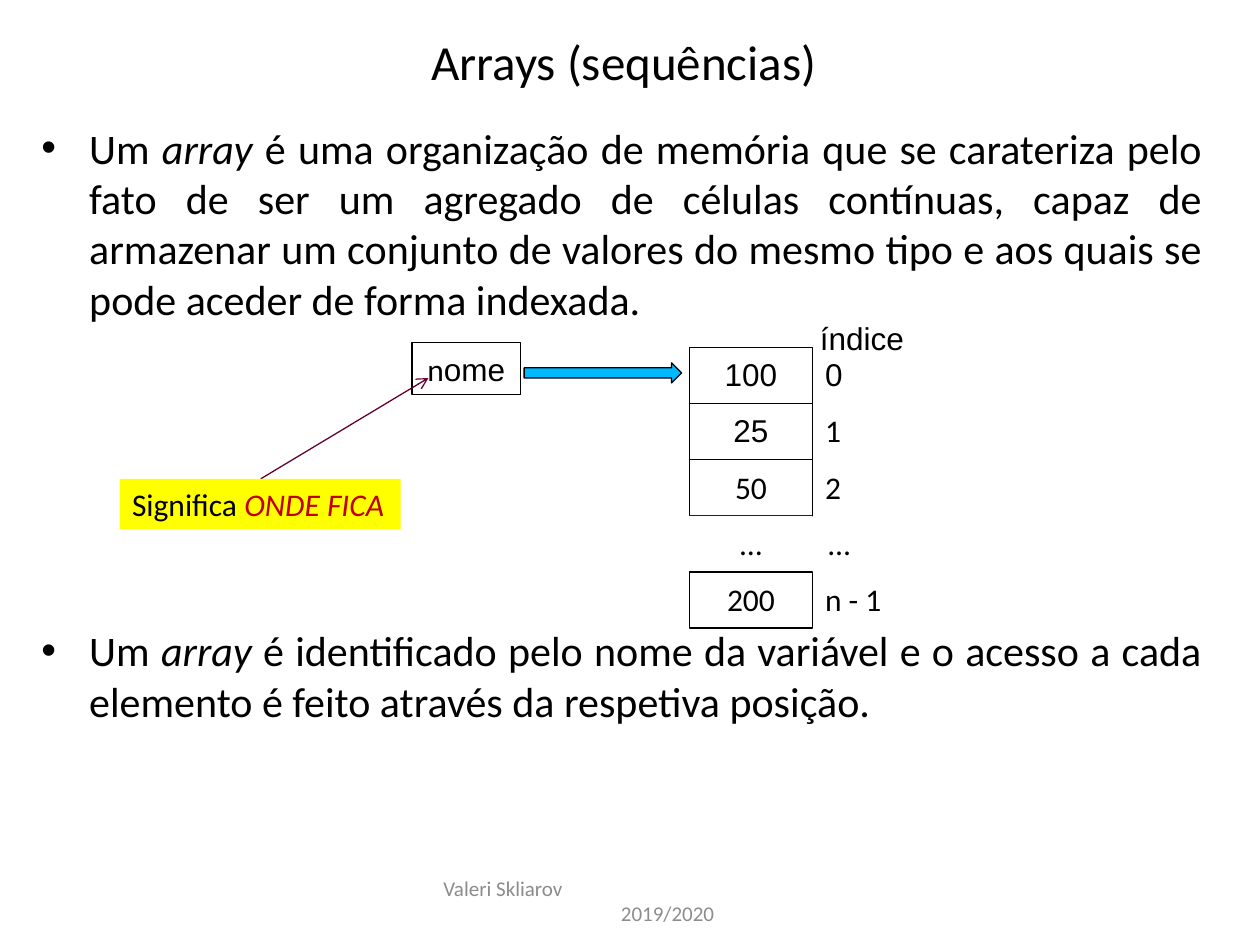
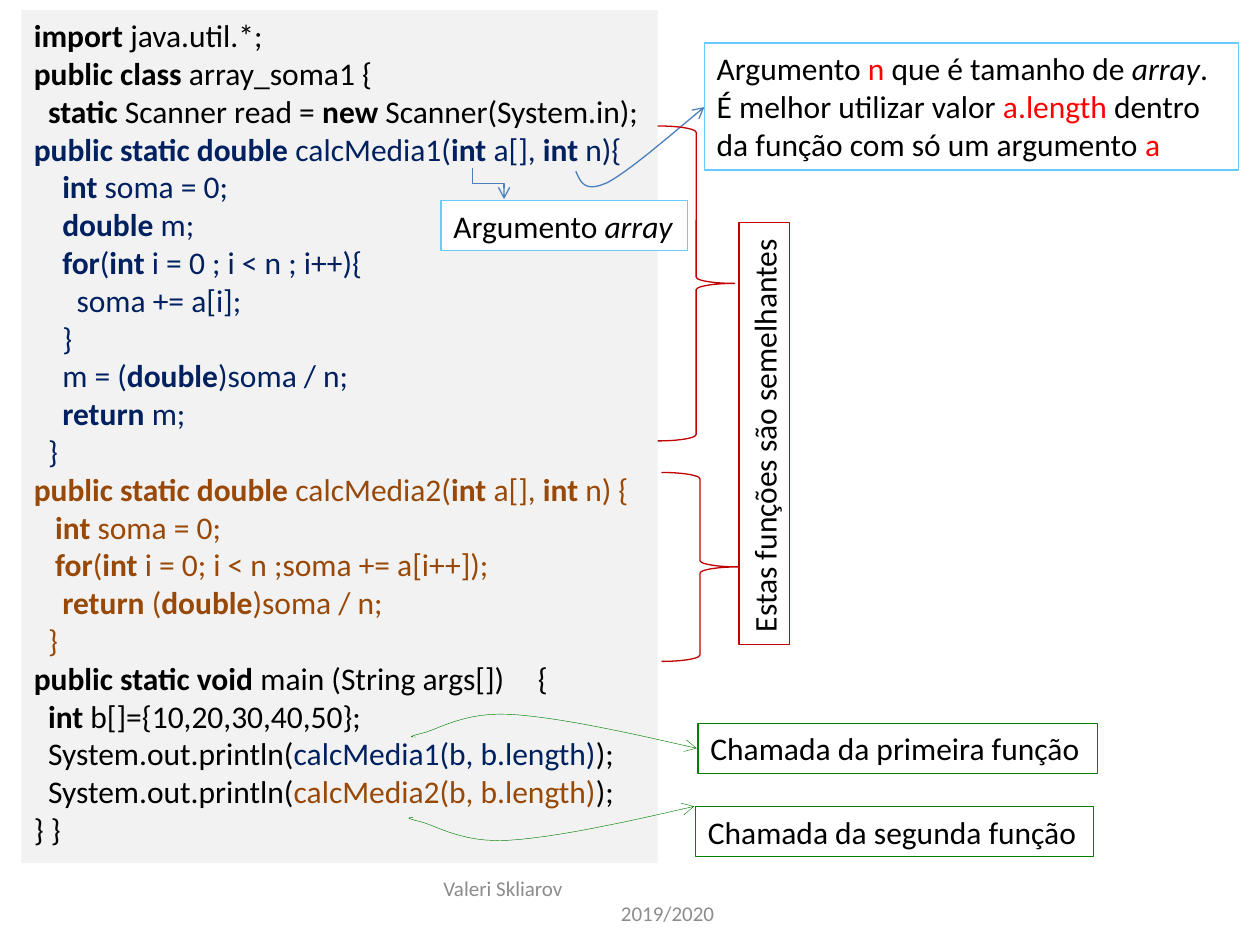
"""Two lecture slides on arrays: the idea of an array and a program using it."""
from dataclasses import dataclass
from typing import NamedTuple, Optional, Sequence

from lxml import etree
from pptx import Presentation
from pptx import util as u
from pptx.dml.color import RGBColor
from pptx.enum import shapes, text
from pptx.oxml.ns import qn

COLUMNS, ROWS = 100, 75
BLACK, WHITE, GREY = "000000", "FFFFFF", "8C8C8C"
RED, CRIMSON, PLUM = "FF0000", "C00000", "660033"
NAVY, BROWN, GREEN = "002060", "984807", "008000"
SKY, STEEL, CYAN = "66CCFF", "4B7EBC", "00B8FF"
YELLOW, PALE = "FFFF00", "F2F2F2"
LEFT, CENTER, JUSTIFY = (text.PP_ALIGN.LEFT, text.PP_ALIGN.CENTER,
                         text.PP_ALIGN.JUSTIFY)
SPACE_WIDTH = 0.226  # share of the font size
BULLET_INDENT = 3.8  # columns


class Box(NamedTuple):
    """A place on the grid."""
    col: float
    row: float
    cols: float
    rows: float


class Point(NamedTuple):
    """A point on the grid."""
    col: float
    row: float


@dataclass
class Para:
    """A paragraph; ` toggles bold, ~ italic, ^ the accent colour, @ Arial.

    Leading spaces of the content become an indent.
    """
    content: str
    color: str = BLACK
    accent: str = BLACK
    size: float = 18
    face: str = "Calibri"
    align: int = LEFT
    spacing: Optional[float] = None
    before: float = 0
    indent: float = 0
    bullet: bool = False
    tab: Optional[float] = None


@dataclass
class Note:
    """A framed remark."""
    box: Box
    paras: Sequence[Para]
    line: Optional[str] = None
    fill: Optional[str] = None
    turn: float = 0


deck = Presentation()
deck.slide_width, deck.slide_height = u.Inches(10), u.Inches(7.5)


def x(cols: float) -> int:
    """Turn grid columns into a length."""
    return round(deck.slide_width * cols / COLUMNS)


def y(rows: float) -> int:
    """Turn grid rows into a length."""
    return round(deck.slide_height * rows / ROWS)


def rgb(color: str) -> RGBColor:
    """Turn a hex string into a colour."""
    return RGBColor.from_string(color)


def set_font(font, para: Para, face: str, color: str) -> None:
    """Give a font its face, size and colour."""
    font.name, font.size = face, u.Pt(para.size)
    font.color.rgb = rgb(color)


def write_runs(paragraph, para: Para) -> None:
    """Split the marked content into styled runs."""
    active, piece = set(), ""
    for char in para.content.lstrip(" ") + "\0":
        if char not in "`~^@\0":
            piece += char
            continue
        if piece:
            run = paragraph.add_run()
            run.text = piece
            set_font(run.font, para, "Arial" if "@" in active else para.face,
                     para.accent if "^" in active else para.color)
            run.font.bold, run.font.italic = "`" in active, "~" in active
        active ^= {char}
        piece = ""


def write(frame, paras: Sequence[Para], anchor=text.MSO_ANCHOR.TOP) -> None:
    """Fill a text frame with paragraphs."""
    frame.word_wrap, frame.vertical_anchor = True, anchor
    for number, para in enumerate(paras):
        paragraph = frame.add_paragraph() if number else frame.paragraphs[0]
        paragraph.alignment = para.align
        paragraph.line_spacing = para.spacing
        paragraph.space_before = u.Pt(para.before)
        properties = paragraph._p.get_or_add_pPr()
        spaces = len(para.content) - len(para.content.lstrip(" "))
        margin = x(para.indent) + u.Pt(spaces * SPACE_WIDTH * para.size)
        properties.set("marL", str(margin))
        properties.set("indent", str(-margin if para.bullet else 0))
        if para.bullet:
            etree.SubElement(properties, qn("a:buFont"), typeface="Arial")
            etree.SubElement(properties, qn("a:buChar"), char="•")
        if para.tab:
            stops = etree.SubElement(properties, qn("a:tabLst"))
            etree.SubElement(stops, qn("a:tab"), pos=str(x(para.tab)), algn="l")
        set_font(paragraph.font, para, para.face, para.color)
        write_runs(paragraph, para)


def add_text(slide, box: Box, paras: Sequence[Para],
             anchor=text.MSO_ANCHOR.TOP) -> None:
    """Add a plain text box."""
    area = slide.shapes.add_textbox(x(box.col), y(box.row),
                                    x(box.cols), y(box.rows))
    write(area.text_frame, paras, anchor)


def add_preset(slide, kind, box: Box, line: Optional[str] = None,
               fill: Optional[str] = None):
    """Add a preset shape with a thin outline."""
    shape = slide.shapes.add_shape(kind, x(box.col), y(box.row),
                                   x(box.cols), y(box.rows))
    finish(shape, line, fill)
    return shape


def finish(shape, line: Optional[str], fill: Optional[str] = None,
           weight: float = 0.75) -> None:
    """Set outline and fill, and drop the shadow."""
    shape.shadow.inherit = False
    if fill:
        shape.fill.solid()
        shape.fill.fore_color.rgb = rgb(fill)
    else:
        shape.fill.background()
    if line:
        shape.line.color.rgb, shape.line.width = rgb(line), u.Pt(weight)
    else:
        shape.line.fill.background()


def add_note(slide, note: Note) -> None:
    """Add a rectangle holding text."""
    frame = add_preset(slide, shapes.MSO_SHAPE.RECTANGLE, note.box,
                       note.line, note.fill)
    frame.rotation = note.turn
    write(frame.text_frame, note.paras)


def add_arrowhead(shape) -> None:
    """End a line with an open arrowhead."""
    etree.SubElement(shape.line._get_or_add_ln(), qn("a:tailEnd"), type="arrow")


def add_arrow(slide, start: Point, end: Point, color: str,
              kind=shapes.MSO_CONNECTOR.STRAIGHT):
    """Add a connector that ends in an arrowhead."""
    arrow = slide.shapes.add_connector(kind, x(start.col), y(start.row),
                                       x(end.col), y(end.row))
    arrow.line.color.rgb, arrow.line.width = rgb(color), u.Pt(0.75)
    add_arrowhead(arrow)
    etree.SubElement(arrow._element.spPr, qn("a:effectLst"))
    return arrow


def add_curve(slide, knots: Sequence[Point], color: str, weight: float) -> None:
    """Add an arrow along chained cubic curves, four knots a curve."""
    steps, points = 12, []
    for first in range(0, len(knots) - 1, 3):
        for step in range(1, steps + 1):
            t = step / steps
            weights = ((1 - t) ** 3, 3 * t * (1 - t) ** 2,
                       3 * t ** 2 * (1 - t), t ** 3)
            pairs = list(zip(weights, knots[first:first + 4]))
            points.append((x(sum(w * k.col for w, k in pairs)),
                           y(sum(w * k.row for w, k in pairs))))
    builder = slide.shapes.build_freeform(x(knots[0].col), y(knots[0].row))
    builder.add_line_segments(points, close=False)
    curve = builder.convert_to_shape()
    finish(curve, color, weight=weight)
    add_arrowhead(curve)


def new_slide():
    """Add a blank slide with the shared footer."""
    slide = deck.slides.add_slide(deck.slide_layouts[6])
    add_text(slide, Box(34.2, 69.5, 31.7, 4),
             [Para("Valeri Skliarov", GREY, size=12),
              Para("2019/2020", GREY, size=12, indent=14.1)],
             text.MSO_ANCHOR.MIDDLE)
    return slide


def build_concept() -> None:
    """Build the slide that explains what an array is."""
    slide = new_slide()
    add_text(slide, Box(5.8, 2, 87.4, 6.6),
             [Para("Arrays (sequências)", size=28, align=CENTER)])
    bullet = dict(size=24, align=JUSTIFY, indent=BULLET_INDENT, bullet=True)
    add_text(slide, Box(2.3, 9.2, 94.1, 56.5), [
        Para("Um ~array~ é uma organização de memória que se carateriza pelo "
             "fato de ser um agregado de células contínuas, capaz de armazenar "
             "um conjunto de valores do mesmo tipo e aos quais se pode aceder "
             "de forma indexada.", **bullet),
        Para("Um ~array~ é identificado pelo nome da variável e o acesso a "
             "cada elemento é feito através da respetiva posição.",
             before=172, **bullet)])

    cells = (("@100", "@0"), ("@25", "1"), ("50", "2"), ("…", "…"),
             ("200", "n - 1"))
    left, top, width, height = 54.7, 27.6, 9.8, 4.45
    for number, (value, index) in enumerate(cells):
        row, gap = top + number * height, value == "…"
        add_note(slide, Note(Box(left, row, width, height),
                             [Para(value, align=CENTER, spacing=1.04)],
                             None if gap else BLACK, WHITE))
        add_text(slide, Box(left + width - (2.8 if gap else 0), row,
                            width, height),
                 [Para(index, align=CENTER if gap else LEFT, spacing=1.04)])
    add_note(slide, Note(Box(32.7, 27.2, 8.6, 4.1),
                         [Para("n@ome", align=CENTER, spacing=1.04)], BLACK))
    add_text(slide, Box(63.5, 24.7, width, height),
             [Para("@índice", align=CENTER, spacing=1.04)])
    add_preset(slide, shapes.MSO_SHAPE.RIGHT_ARROW, Box(41.6, 28.8, 12.5, 1.6),
               BLACK, CYAN)
    add_arrow(slide, Point(20.7, 38), Point(34, 30), PLUM)
    add_note(slide, Note(Box(9.5, 38, 22.3, 4),
                         [Para("Significa ^~ONDE FICA", accent=CRIMSON)],
                         fill=YELLOW))


HEADER = """`import `java.util.*;
`public class` array_soma1 {
  `static` Scanner read = `new` Scanner(System.in);"""
FIRST = """`public static double` calcMedia1(`int` a[], `int` n){
    `int` soma = 0;
    `double` m;
    `for`(`int `i = 0 ; i < n ; i++){
      soma += a[i];
    }
    m = (`double`)soma / n;
    `return` m;
  }"""
SECOND = """`public static double` calcMedia2(`int` a[], `int` n) {
   `int` soma = 0;
   `for`(`int `i = 0; i < n ;soma += a[i++]);
    `return` (`double`)soma / n;
  }"""
MAIN = """`public static void` main (String args[])\t{
  `int` b[]={10,20,30,40,50};"""
CALL = "  System.out.println(^calcMedia{}(b, b.length)^);"


def build_program() -> None:
    """Build the slide with the annotated program."""
    slide = new_slide()
    blocks = ((HEADER, BLACK, BLACK), (FIRST, NAVY, BLACK),
              (SECOND, BROWN, BLACK), (MAIN, BLACK, BLACK),
              (CALL.format(1), BLACK, NAVY), (CALL.format(2), BLACK, BROWN),
              ("} }", BLACK, BLACK))
    code = [Para(line, color, accent, tab=41.3 if "\t" in line else None)
            for block, color, accent in blocks for line in block.split("\n")]
    add_note(slide, Note(Box(1.7, 0.8, 50.5, 67.7), code, fill=PALE))

    elbow = add_arrow(slide, Point(37.5, 13.3), Point(40, 15.8), STEEL,
                      shapes.MSO_CONNECTOR.ELBOW)
    frame = elbow._element.spPr.find(qn("a:xfrm"))
    frame.set("rot", str(270 * 60000))
    frame.set("flipH", "1")
    add_note(slide, Note(Box(35, 15.9, 19.6, 4), [Para("Argumento ~array")],
                         SKY, WHITE))
    add_curve(slide, [Point(45.7, 13.6), Point(46.1, 14.5), Point(46.4, 15.3),
                      Point(48.2, 14.5), Point(49.9, 13.6), Point(52.9, 11),
                      Point(55.9, 8.5)], STEEL, 0.75)
    add_note(slide, Note(Box(55.9, 3.4, 42.4, 10.1), [
        Para("Argumento ^n^ que é tamanho de ~array~.", accent=RED),
        Para("É melhor utilizar valor ^a.length^ dentro da função com só um "
             "argumento ^a", accent=RED)], SKY))

    for brace in (Box(52.2, 10, 6.1, 25), Box(52.5, 37.5, 6.1, 15)):
        add_preset(slide, shapes.MSO_SHAPE.RIGHT_BRACE, brace, CRIMSON)
    add_note(slide, Note(Box(43.9, 32.4, 33.5, 4),
                         [Para("Estas funções são semelhantes")],
                         CRIMSON, turn=270))

    # Offsets from the start of a call arrow; the second one bends downwards.
    bend = ((0, 0), (-0.4, 0), (-0.7, 0), (0.5, -0.3), (1.8, -0.6),
            (3.8, -2), (7.5, -1.8), (11.1, -1.6), (16.7, -0.4), (22.3, 0.9))
    calls = ((Point(33, 58.5), 1, Box(55.4, 57.4, 31.7, 4), "primeira"),
             (Point(32.8, 64.9), -1, Box(55.2, 64, 31.6, 4), "segunda"))
    for start, side, box, order in calls:
        add_curve(slide, [Point(start.col + across, start.row + side * down)
                          for across, down in bend], GREEN, 0.25)
        add_note(slide, Note(box, [Para(f"Chamada da {order} função")], GREEN))


build_concept()
build_program()
deck.save("out.pptx")
